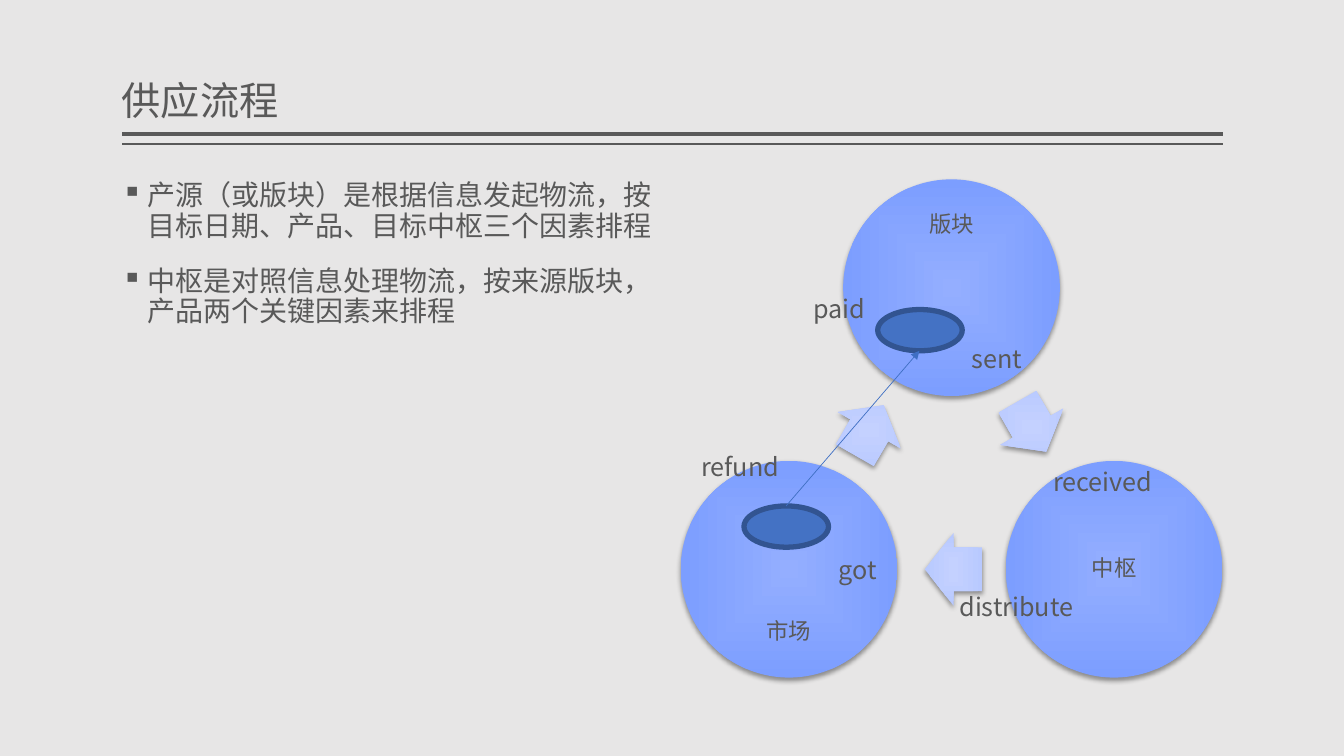
import math

import pptx
import pptx.dml.color
import pptx.enum.shapes
import pptx.enum.text
import pptx.oxml
import pptx.oxml.ns
import pptx.util

Cm = pptx.util.Cm
Pt = pptx.util.Pt
SHAPE = pptx.enum.shapes.MSO_SHAPE
ANCHOR = pptx.enum.text.MSO_ANCHOR
ALIGN = pptx.enum.text.PP_ALIGN
NS = pptx.oxml.ns.nsdecls("a")


def color(value):
    return pptx.dml.color.RGBColor.from_string(value)


def element(xml):
    return pptx.oxml.parse_xml(xml.replace(" NS", " " + NS, 1))


class Deck:
    """Holds the text style and current slide, and draws its elements."""

    ink = "595959"
    font = "Noto Sans CJK SC"

    def __init__(self, background):
        self.prs = pptx.Presentation()
        self.prs.slide_width, self.prs.slide_height = Cm(33.87), Cm(19.05)
        self.s = self.prs.slides.add_slide(self.prs.slide_layouts[6])
        self.s.background.fill.solid()
        self.s.background.fill.fore_color.rgb = color(background)

    def text(self, x, y, w, h, lines, size, font=None, anchor=ANCHOR.TOP, align=ALIGN.LEFT,
             inset=(0.25, 0.13), spacing=None, gap=None, bullet=None, grow=False):
        tf = self.s.shapes.add_textbox(Cm(x), Cm(y), Cm(w), Cm(h)).text_frame
        tf.word_wrap = True
        tf.vertical_anchor = anchor
        tf.margin_left = tf.margin_right = Cm(inset[0])
        tf.margin_top = tf.margin_bottom = Cm(inset[1])
        if grow:
            tf.auto_size = pptx.enum.text.MSO_AUTO_SIZE.SHAPE_TO_FIT_TEXT
        for i, line in enumerate(lines):
            p = tf.add_paragraph() if i else tf.paragraphs[0]
            p.alignment = align
            if spacing:
                p.line_spacing = spacing
            if gap and i:
                p.space_before = Pt(gap)
            if bullet:
                pPr = p._p.get_or_add_pPr()
                pPr.set("marL", str(Cm(0.64)))
                pPr.set("indent", str(-Cm(0.64)))
                pPr.append(element(f'<a:buChar NS char="{bullet}"/>'))
            r = p.add_run()
            r.text = line
            r.font.size = Pt(size)
            r.font.name = font or self.font
            r.font.color.rgb = color(self.ink)
            r._r.rPr.append(element(f'<a:ea NS typeface="{self.font}"/>'))

    def line(self, x1, y1, x2, y2, stroke, width, arrow=False):
        c = self.s.shapes.add_connector(
            pptx.enum.shapes.MSO_CONNECTOR.STRAIGHT, Cm(x1), Cm(y1), Cm(x2), Cm(y2))
        c.line.color.rgb = color(stroke)
        c.line.width = Pt(width)
        if arrow:
            c.line._get_or_add_ln().append(element('<a:tailEnd NS type="triangle"/>'))
        c._element.spPr.append(element('<a:effectLst NS/>'))

    def oval(self, x, y, w, h, fill, stroke, width):
        sp = self.s.shapes.add_shape(SHAPE.OVAL, Cm(x), Cm(y), Cm(w), Cm(h))
        sp.shadow.inherit = False
        sp.fill.solid()
        sp.fill.fore_color.rgb = color(fill)
        sp.line.color.rgb = color(stroke)
        sp.line.width = Pt(width)

    def glow(self, kind, cx, cy, w, h, inner, outer, rotation=0):
        sp = self.s.shapes.add_shape(kind, Cm(cx - w / 2), Cm(cy - h / 2), Cm(w), Cm(h))
        sp.rotation = rotation
        if kind == SHAPE.RIGHT_ARROW:
            sp.adjustments[0], sp.adjustments[1] = 0.6, 0.5
        sp.line.fill.background()
        spPr = sp._element.spPr
        spPr.find(pptx.oxml.ns.qn("a:prstGeom")).addnext(element(
            '<a:gradFill NS rotWithShape="1"><a:gsLst>'
            f'<a:gs pos="0"><a:srgbClr val="{inner}"/></a:gs>'
            f'<a:gs pos="100000"><a:srgbClr val="{outer}"/></a:gs></a:gsLst>'
            '<a:path path="rect"><a:fillToRect l="50000" t="50000" r="50000" b="50000"/>'
            '</a:path></a:gradFill>'))
        spPr.append(element(
            f'<a:effectLst NS><a:outerShdw blurRad="{Pt(3.5)}" dist="{Pt(2)}" dir="5400000" '
            'rotWithShape="0"><a:srgbClr val="000000"><a:alpha val="38000"/></a:srgbClr>'
            '</a:outerShdw></a:effectLst>'))


def main():
    d = Deck("E7E6E6")
    left, right = 3.07, 30.81
    for y, width in ((3.38, 3), (3.63, 1)):
        d.line(right, y, left, y, d.ink, width)
    d.text(left, 0.2, right - left, 3.05, ["供应流程"], 28, "Arial", ANCHOR.BOTTOM,
           inset=(0, 0.13), spacing=0.9)
    d.text(left, 4.45, 13.67, 12.7, [
        "产源（或版块）是根据信息发起物流，按目标日期、产品、目标中枢三个因素排程",
        "中枢是对照信息处理物流，按来源版块，产品两个关键因素来排程",
    ], 20, "Lato", inset=(0, 0.13), spacing=0.9, gap=18, bullet="▪")

    cx, cy, radius, label, slip = 23.98, 11.98, 4.73, 3.86, 0.05
    stages = (("版块", ANCHOR.TOP), ("中枢", ANCHOR.MIDDLE), ("市场", ANCHOR.BOTTOM))
    for i, (name, anchor) in enumerate(stages):
        angle = math.radians(120 * i - 90)
        x, y = cx + radius * math.cos(angle), cy + radius * math.sin(angle)
        d.glow(SHAPE.OVAL, x, y, 5.46, 5.46, "94AEFF", "7C9EFF")
        d.text(x - label / 2, y - label / 2, label, label, [name], 16, anchor=anchor,
               align=ALIGN.CENTER, inset=(0.05, 0.05), spacing=0.9)
        middle, heading = angle + math.pi / 3, 60 + 120 * i
        turn = math.radians(heading)
        d.glow(SHAPE.RIGHT_ARROW,
               cx + radius / 2 * math.cos(middle) - slip * math.cos(turn),
               cy + radius / 2 * math.sin(middle) - slip * math.sin(turn),
               1.45, 1.83, "C4D1FF", "B8C9FF", heading)

    for x, y in ((18.75, 12.75), (22.12, 7.8)):
        d.oval(x, y, 2.13, 1.04, "4472C4", "325491", 3.78)
    d.line(19.81, 12.75, 23.17, 8.84, "3F6FC3", 0.5, arrow=True)

    for word, x, y, w in (
        ("paid", 20.24, 7.26, 2.13), ("sent", 24.23, 8.51, 2.13),
        ("received", 26.29, 11.63, 3.96), ("distribute", 23.93, 14.78, 4.39),
        ("got", 20.88, 13.84, 3.53), ("refund", 17.42, 11.25, 2.92),
    ):
        d.text(x, y, w, 1.02, [word], 18, grow=True)
    d.prs.save("out.pptx")


if __name__ == "__main__":
    main()
